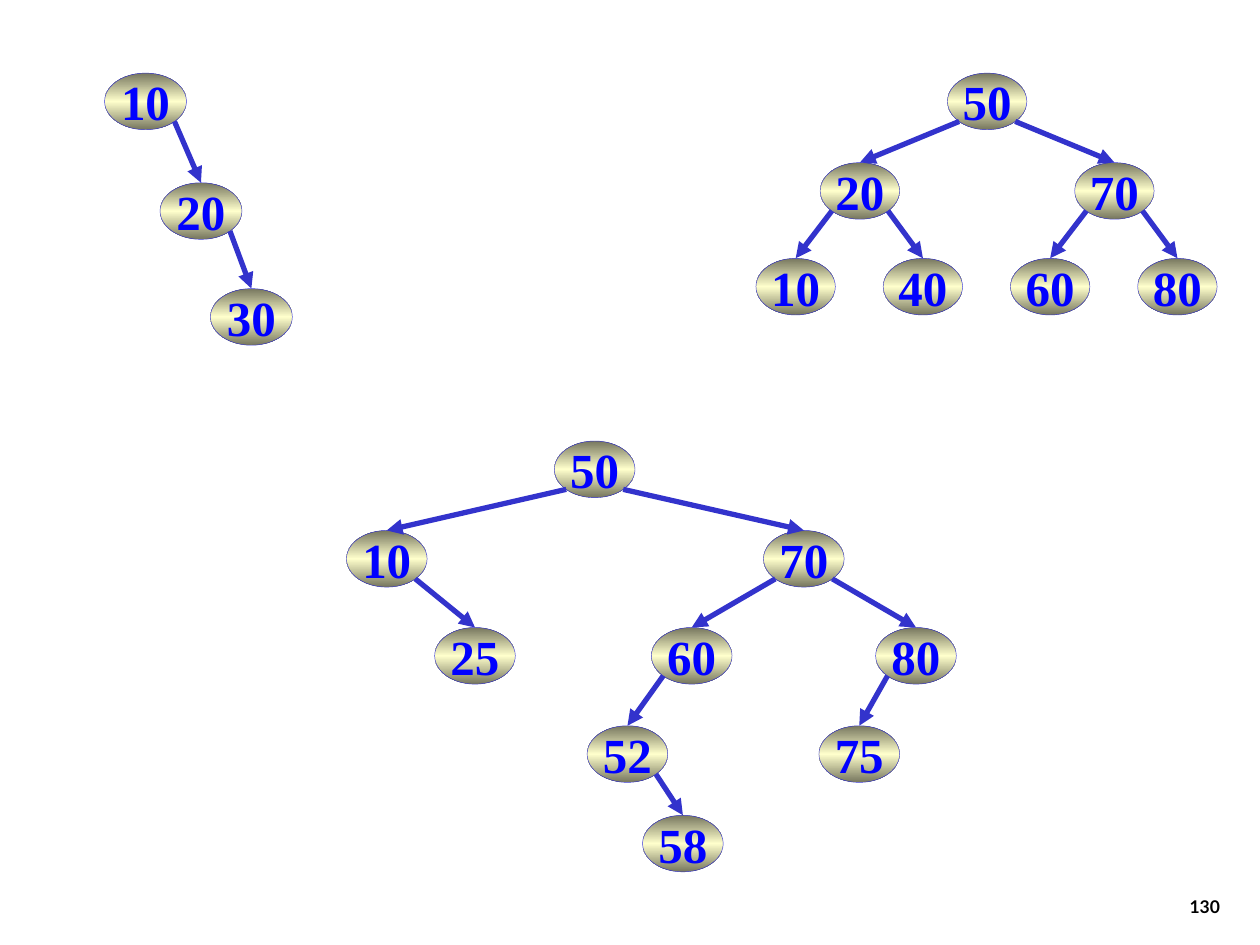
from copy import deepcopy
from math import sqrt
from pptx import Presentation
from pptx import util as u
from pptx.dml.color import RGBColor
from pptx.enum import shapes, text
from pptx.oxml.ns import qn
from lxml import etree

# Each tree: node width, then (label, left, top, parent label)
TREES = [
    (0.63, [("50", 7.52, 0.58, None),
            ("20", 6.51, 1.29, "50"), ("70", 8.53, 1.29, "50"),
            ("10", 6.0, 2.05, "20"), ("40", 7.01, 2.05, "20"),
            ("60", 8.02, 2.05, "70"), ("80", 9.03, 2.05, "70")]),
    (0.64, [("50", 4.4, 3.5, None),
            ("10", 2.75, 4.21, "50"), ("70", 6.06, 4.21, "50"),
            ("25", 3.45, 4.98, "10"),
            ("60", 5.17, 4.98, "70"), ("80", 6.95, 4.98, "70"),
            ("52", 4.66, 5.76, "60"), ("75", 6.5, 5.76, "80"),
            ("58", 5.1, 6.47, "52")]),
    (0.65, [("10", 0.83, 0.58, None), ("20", 1.27, 1.45, "10"),
            ("30", 1.67, 2.29, "20")]),
]
PAGE = "130"
HIGH = 0.45
EDGE, MID, LINE, INK = "76765E", "FFFFCC", "3333CC", "0000FF"


def rgb(code):
    return RGBColor.from_string(code)


def write(frame, words, face, size, color, align):
    frame.text = words
    para = frame.paragraphs[0]
    para.alignment = align
    font = para.runs[0].font
    font.name, font.size, font.bold = face, u.Pt(size), True
    font.color.rgb = rgb(color)


def shade(fill):
    """Vertical gradient, dark at both ends and light in the middle."""
    fill.gradient()
    fill.gradient_angle = 270
    first = fill.gradient_stops[0]
    first.color.rgb = rgb(EDGE)
    first.position = 0
    last = fill.gradient_stops[1]
    last.color.rgb = rgb(MID)
    last.position = 0.5
    stops = fill._fill._gradFill.find(qn("a:gsLst"))
    end = deepcopy(stops[0])
    end.set("pos", "100000")
    stops.append(end)


def add_node(group, label, left, top, wide):
    node = group.shapes.add_shape(
        shapes.MSO_SHAPE.OVAL, u.Inches(left), u.Inches(top),
        u.Inches(wide), u.Inches(HIGH))
    node.shadow.inherit = False
    shade(node.fill)
    node.line.color.rgb = rgb(LINE)
    node.line.width = u.Pt(0.25)
    frame = node.text_frame
    frame.word_wrap = False
    frame.vertical_anchor = text.MSO_ANCHOR.MIDDLE
    write(frame, label, "Times New Roman", 28, INK, text.PP_ALIGN.CENTER)


def add_arrow(group, start, end):
    arrow = group.shapes.add_connector(
        shapes.MSO_CONNECTOR.STRAIGHT, *map(u.Inches, start + end))
    arrow.line.color.rgb = rgb(LINE)
    arrow.line.width = u.Pt(3)
    etree.SubElement(arrow.line._get_or_add_ln(), qn("a:tailEnd"),
                     type="triangle")
    etree.SubElement(arrow._element.spPr, qn("a:effectLst"))


def add_tree(slide, wide, nodes):
    """Arrows run from a parent's lower diagonal to the top of its child."""
    group = slide.shapes.add_group_shape()
    spots = {label: (left, top) for label, left, top, _ in nodes}
    for label, left, top, _ in nodes:
        add_node(group, label, left, top, wide)
    for _, left, top, above in nodes:
        if above is None:
            continue
        x, y = spots[above]
        side = 1 if left > x else -1
        start = (x + wide / 2 * (1 + side / sqrt(2)),
                 y + HIGH / 2 * (1 + 1 / sqrt(2)))
        add_arrow(group, start, (left + wide / 2, top))


def main():
    deck = Presentation()
    deck.slide_width, deck.slide_height = u.Inches(10), u.Inches(7.5)
    slide = deck.slides.add_slide(deck.slide_layouts[6])
    for wide, nodes in TREES:
        add_tree(slide, wide, nodes)
    box = slide.shapes.add_textbox(*map(u.Inches, (7.7, 6.83, 2.08, 0.5)))
    frame = box.text_frame
    frame.word_wrap = True
    frame.vertical_anchor = text.MSO_ANCHOR.BOTTOM
    write(frame, PAGE, "Lato", 10, "000000", text.PP_ALIGN.RIGHT)
    deck.save("out.pptx")


if __name__ == "__main__":
    main()
